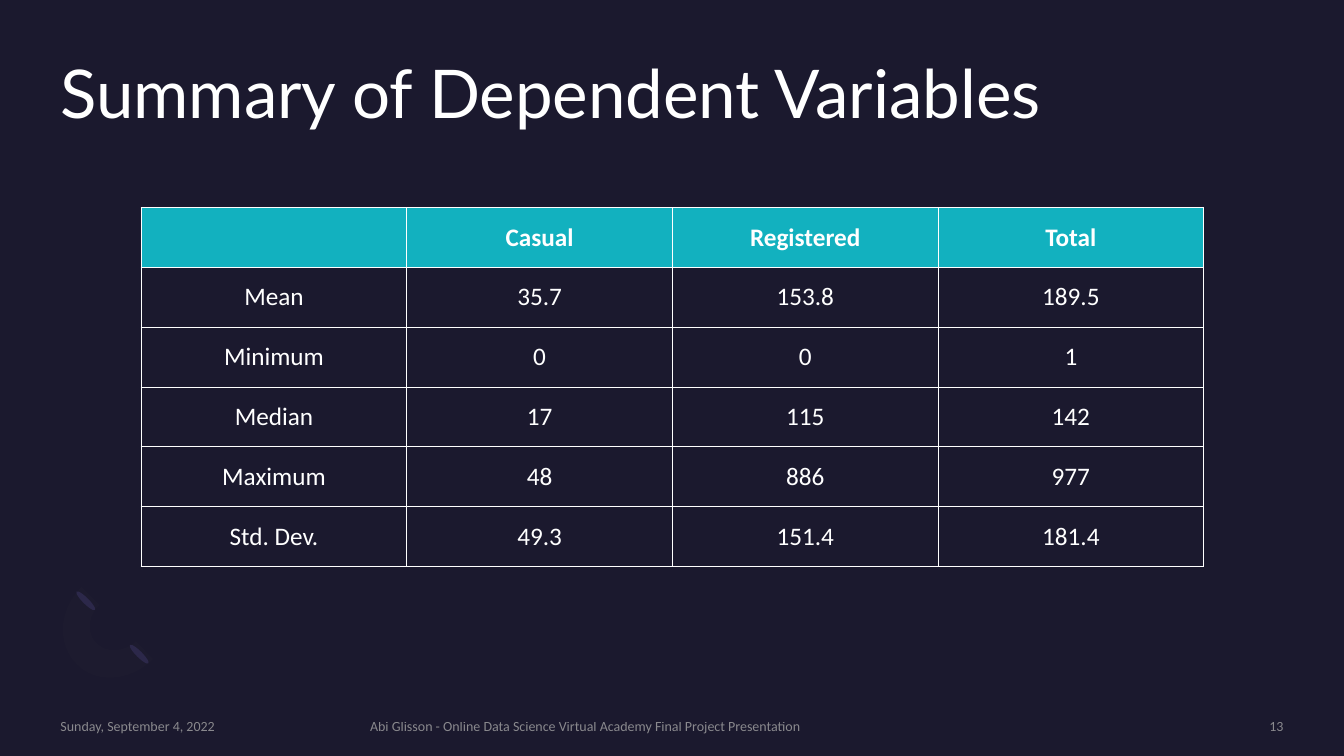
from dataclasses import dataclass

from lxml import etree
from pptx import Presentation
from pptx.dml.color import RGBColor
from pptx.enum.shapes import MSO_SHAPE
from pptx.enum.text import MSO_ANCHOR, PP_ALIGN
from pptx.oxml.ns import qn
from pptx.util import Inches, Pt

ELLIPSE = MSO_SHAPE.OVAL
TOP, MIDDLE = MSO_ANCHOR.TOP, MSO_ANCHOR.MIDDLE
LEFT, CENTER, RIGHT = PP_ALIGN.LEFT, PP_ALIGN.CENTER, PP_ALIGN.RIGHT


@dataclass(frozen=True)
class Theme:
    background: str = "1B192E"
    text: str = "FFFFFF"
    footer: str = "A6A6A6"
    footer_opacity: int = 80
    header: str = "12B1BF"
    ring_end: str = "2C284A"
    ring_side: str = "1D1B2F"
    title_font: str = "Lato"
    body_font: str = "Calibri"
    title_size: int = 48
    table_size: int = 18
    footer_size: int = 10
    border_width: float = 0.75


THEME = Theme()

SUMMARY = [
    ["", "Casual", "Registered", "Total"],
    ["Mean", "35.7", "153.8", "189.5"],
    ["Minimum", "0", "0", "1"],
    ["Median", "17", "115", "142"],
    ["Maximum", "48", "886", "977"],
    ["Std. Dev.", "49.3", "151.4", "181.4"],
]


def rgb(color):
    return RGBColor.from_string(color)


def style_font(paragraph, name, size, color, bold=False):
    font = paragraph.font
    font.name, font.size, font.bold = name, Pt(size), bold
    font.color.rgb = rgb(color)


def add_text(slide, box, text, font, size, color, anchor=MIDDLE, align=LEFT):
    """Add a one-paragraph text box without insets and return its paragraph."""
    frame = slide.shapes.add_textbox(*map(Inches, box)).text_frame
    frame.word_wrap = True
    frame.margin_left = frame.margin_top = 0
    frame.margin_right = frame.margin_bottom = 0
    frame.vertical_anchor = anchor
    paragraph = frame.paragraphs[0]
    paragraph.text = text
    paragraph.alignment = align
    style_font(paragraph, font, size, color)
    return paragraph


def add_title(slide, box, text):
    paragraph = add_text(slide, box, text, THEME.title_font, THEME.title_size,
                         THEME.text, anchor=TOP)
    paragraph.line_spacing = 0.9


def fill_plain(shape, color):
    shape.shadow.inherit = False
    shape.fill.solid()
    shape.fill.fore_color.rgb = rgb(color)
    shape.line.fill.background()


def curve_points(start, control_1, control_2, end, steps=12):
    """Sample a cubic curve, leaving out its start point."""
    points = []
    for step in range(1, steps + 1):
        t = step / steps
        weights = ((1 - t) ** 3, 3 * t * (1 - t) ** 2, 3 * t ** 2 * (1 - t), t ** 3)
        corners = (start, control_1, control_2, end)
        points.append(tuple(sum(w * corner[axis] for w, corner in zip(weights, corners))
                            for axis in (0, 1)))
    return points


def add_ring(slide, left, top):
    """Draw the faint open ring with an ellipse at each end."""
    outer = [(0.18, 0.77), (-0.02, 0.57), (0, 0.23), (0.23, 0)]
    inner = [(0.41, 0.18), (0.29, 0.29), (0.28, 0.47), (0.38, 0.56)]
    inner_end = [inner[-1], (0.48, 0.66), (0.65, 0.65), (0.77, 0.54)]
    outer_end = [(0.94, 0.72), (0.72, 0.94), (0.37, 0.97), outer[0]]
    outline = [inner[0], *curve_points(*inner), *curve_points(*inner_end),
               outer_end[0], *curve_points(*outer_end), *curve_points(*outer)]
    points = [(Inches(left + x), Inches(top + y)) for x, y in outline]
    builder = slide.shapes.build_freeform(*points[0], scale=1.0)
    builder.add_line_segments(points[1:], close=True)
    fill_plain(builder.convert_to_shape(), THEME.ring_side)

    for offset in (0.01, 0.54):
        end = slide.shapes.add_shape(ELLIPSE, Inches(left + 0.23 + offset),
                                     Inches(top + offset), Inches(0.06), Inches(0.26))
        end.rotation = 135
        fill_plain(end, THEME.ring_end)


def add_borders(cell):
    properties = cell._tc.get_or_add_tcPr()
    for index, side in enumerate(("a:lnL", "a:lnR", "a:lnT", "a:lnB")):
        line = etree.Element(qn(side), w=str(Pt(THEME.border_width)))
        fill = etree.SubElement(line, qn("a:solidFill"))
        etree.SubElement(fill, qn("a:srgbClr"), val=THEME.text)
        properties.insert(index, line)


def add_summary_table(slide, box, rows):
    table = slide.shapes.add_table(len(rows), len(rows[0]), *map(Inches, box)).table
    table.horz_banding = False
    for row_index, row in enumerate(rows):
        is_header = row_index == 0
        for column_index, value in enumerate(row):
            cell = table.cell(row_index, column_index)
            if is_header:
                cell.fill.solid()
                cell.fill.fore_color.rgb = rgb(THEME.header)
            else:
                cell.fill.background()
            cell.vertical_anchor = MIDDLE
            paragraph = cell.text_frame.paragraphs[0]
            paragraph.text = value
            paragraph.alignment = CENTER
            style_font(paragraph, THEME.body_font, THEME.table_size, THEME.text, is_header)
            add_borders(cell)


def add_footer(slide, top, height, date, caption, number):
    for left, width, text, align in (
        (0.6, 2.88, date, LEFT),
        (3.67, 6.98, caption, LEFT),
        (10.88, 1.85, number, RIGHT),
    ):
        paragraph = add_text(slide, (left, top, width, height), text, THEME.body_font,
                             THEME.footer_size, THEME.footer, align=align)
        for color in paragraph._p.iter(qn("a:srgbClr")):
            etree.SubElement(color, qn("a:alpha"), val=str(THEME.footer_opacity * 1000))


def main():
    presentation = Presentation()
    presentation.slide_width, presentation.slide_height = Inches(13.33), Inches(7.5)
    slide = presentation.slides.add_slide(presentation.slide_layouts[6])
    slide.background.fill.solid()
    slide.background.fill.fore_color.rgb = rgb(THEME.background)

    add_ring(slide, 0.58, 5.82)
    add_title(slide, (0.6, 0.6, 12.13, 1.46), "Summary of Dependent Variables")
    add_summary_table(slide, (1.4, 2.06, 10.54, 3.56), SUMMARY)
    add_footer(slide, 7.12, 0.17, "Sunday, September 4, 2022",
               "Abi Glisson - Online Data Science Virtual Academy Final Project Presentation",
               "13")
    presentation.save("out.pptx")


if __name__ == "__main__":
    main()
